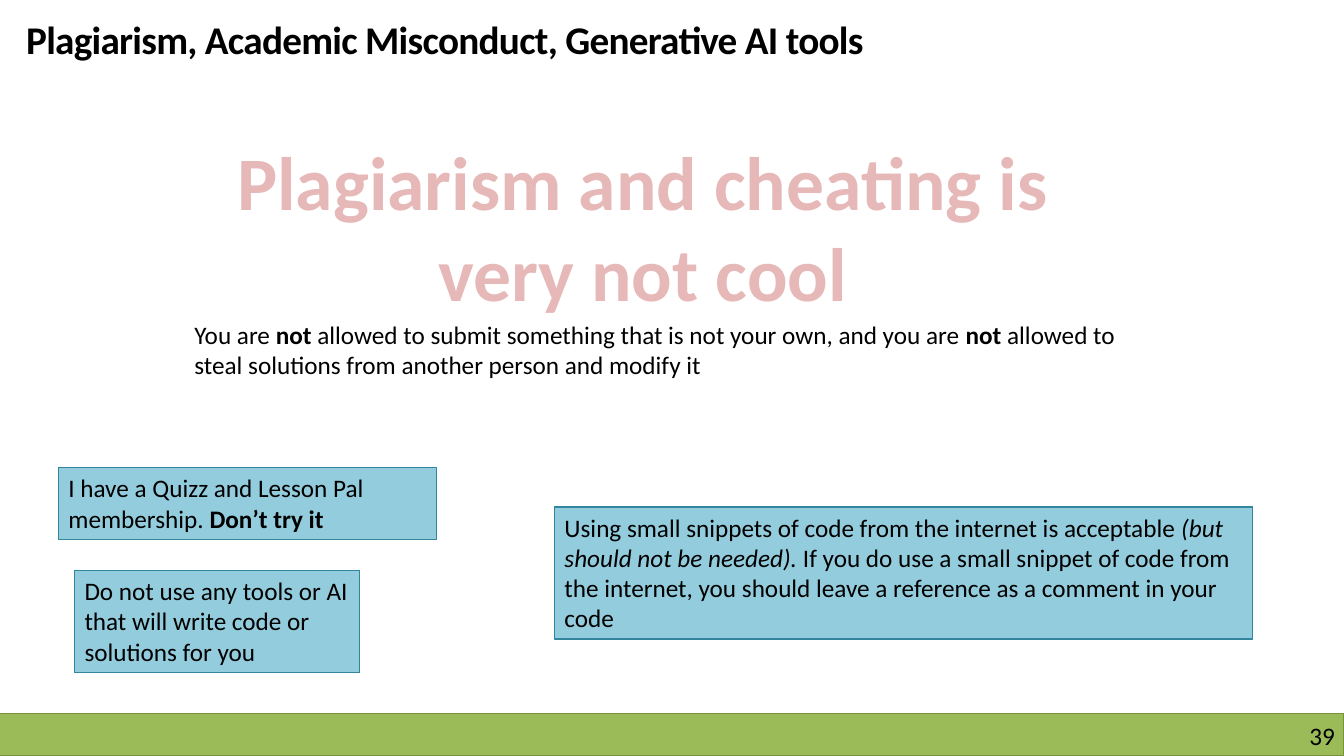
from pptx import Presentation
from pptx.dml.color import RGBColor
from pptx.enum.shapes import MSO_SHAPE as Shape
from pptx.enum.text import MSO_ANCHOR as Anchor, MSO_AUTO_SIZE as AutoSize, PP_ALIGN as Align
from pptx.util import Inches, Pt

BLACK = RGBColor(0x00, 0x00, 0x00)
PINK = RGBColor(0xE6, 0xB9, 0xB8)
BLUE = RGBColor(0x93, 0xCD, 0xDD)
TEAL = RGBColor(0x31, 0x85, 0x9C)
GREEN = RGBColor(0x9B, 0xBB, 0x59)
DARK_GREEN = RGBColor(0x77, 0x93, 0x3C)

# Content: runs are (text, style), boxes are (left, top, width, height)
TITLE = [("Plagiarism, Academic Misconduct, Generative AI tools", "bold")]
HEADLINE = [("Plagiarism and cheating is very not cool", "bold")]
RULE = [
    ("You are ", ""),
    ("not ", "bold"),
    ("allowed to submit something that is not your own, and you are ", ""),
    ("not", "bold"),
    (" allowed to steal solutions from another person and modify it", ""),
]
NOTES = [
    ((0.58, 4.64, 3.75, 0.71), [
        ("I have a Quizz and Lesson Pal membership. ", ""),
        ("Don’t try it", "bold"),
    ]),
    ((0.74, 5.66, 2.83, 1.01), [
        ("Do not use any tools or AI that will write code or solutions for you", ""),
    ]),
    ((5.5, 5.03, 6.92, 1.31), [
        ("Using small snippets of code from the internet is acceptable ", ""),
        ("(but should not be needed). ", "italic"),
        ("If you do use a small snippet of code from the internet, "
         "you should leave a reference as a comment in your code", ""),
    ]),
]
PAGE = [("39", "")]
SLIDE_W, SLIDE_H, BAND_H = 13.33, 7.5, 0.42


def write(shape, runs, size=18, color=BLACK, align=Align.LEFT, inset=(0.1, 0.05)):
    frame = shape.text_frame
    frame.word_wrap = True
    frame.auto_size = AutoSize.NONE
    frame.vertical_anchor = Anchor.TOP
    frame.margin_left = frame.margin_right = Inches(inset[0])
    frame.margin_top = frame.margin_bottom = Inches(inset[1])
    paragraph = frame.paragraphs[0]
    paragraph.alignment = align
    for text, style in runs:
        run = paragraph.add_run()
        run.text = text
        font = run.font
        font.name = "Calibri"
        font.size = Pt(size)
        font.color.rgb = color
        font.bold = style == "bold"
        font.italic = style == "italic"


def add_rectangle(box, fill, line):
    rectangle = slide.shapes.add_shape(Shape.RECTANGLE, *map(Inches, box))
    rectangle.shadow.inherit = False
    rectangle.fill.solid()
    rectangle.fill.fore_color.rgb = fill
    rectangle.line.color.rgb = line
    rectangle.line.width = Pt(0.75)
    return rectangle


def add_text(box, runs, **look):
    write(slide.shapes.add_textbox(*map(Inches, box)), runs, **look)


deck = Presentation()
deck.slide_width, deck.slide_height = Inches(SLIDE_W), Inches(SLIDE_H)
slide = deck.slides.add_slide(deck.slide_layouts[5])

# Footer band with page number
add_rectangle((0, SLIDE_H - BAND_H, SLIDE_W, BAND_H), GREEN, DARK_GREEN)
add_text((10.17, 7.15, 3.07, 0.3), PAGE, align=Align.RIGHT, inset=(0, 0))

# Title, slightly condensed
title = slide.shapes.title
title.left, title.top, title.width, title.height = map(Inches, (0.25, 0.13, 8.59, 0.49))
write(title, TITLE, size=28, inset=(0.01, 0.02))
for run in title.text_frame.paragraphs[0].runs:
    run.font._element.set("spc", "-50")

# Headline and rule
add_text((2.08, 1.29, 8.59, 1.34), HEADLINE, size=54, color=PINK, align=Align.CENTER)
add_text((1.83, 3.12, 9.67, 0.71), RULE)

# Blue notes
for box, runs in NOTES:
    write(add_rectangle(box, BLUE, TEAL), runs)

deck.save("out.pptx")
